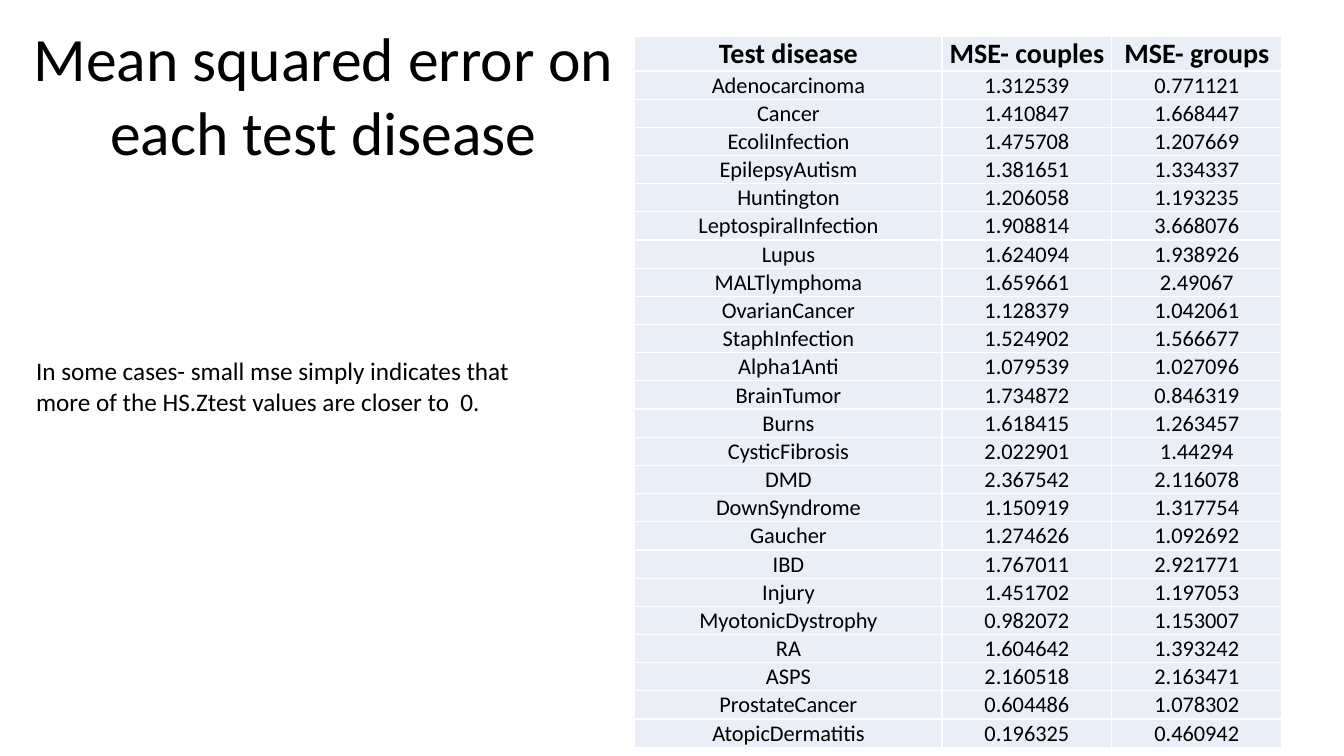
from typing import NamedTuple

from lxml.etree import SubElement
from pptx import Presentation
from pptx.dml.color import RGBColor
from pptx.enum.text import MSO_ANCHOR, MSO_AUTO_SIZE, PP_ALIGN
from pptx.oxml.ns import qn
from pptx.util import Cm, Pt

COLORS = {"text": "000000", "cell": "EAEFF7", "border": "FFFFFF"}
FONT = "Calibri"
HEADER_HEIGHT, BODY_HEIGHT = 0.86, 0.71
COLUMN_WIDTHS = (7.74, 4.28, 4.28)


class DiseaseError(NamedTuple):
    disease: str
    couples: str
    groups: str


HEADER = DiseaseError("Test disease", "MSE- couples", "MSE- groups")
ERRORS = [
    DiseaseError("Adenocarcinoma", "1.312539", "0.771121"),
    DiseaseError("Cancer", "1.410847", "1.668447"),
    DiseaseError("EcoliInfection", "1.475708", "1.207669"),
    DiseaseError("EpilepsyAutism", "1.381651", "1.334337"),
    DiseaseError("Huntington", "1.206058", "1.193235"),
    DiseaseError("LeptospiralInfection", "1.908814", "3.668076"),
    DiseaseError("Lupus", "1.624094", "1.938926"),
    DiseaseError("MALTlymphoma", "1.659661", "2.49067"),
    DiseaseError("OvarianCancer", "1.128379", "1.042061"),
    DiseaseError("StaphInfection", "1.524902", "1.566677"),
    DiseaseError("Alpha1Anti", "1.079539", "1.027096"),
    DiseaseError("BrainTumor", "1.734872", "0.846319"),
    DiseaseError("Burns", "1.618415", "1.263457"),
    DiseaseError("CysticFibrosis", "2.022901", "1.44294"),
    DiseaseError("DMD", "2.367542", "2.116078"),
    DiseaseError("DownSyndrome", "1.150919", "1.317754"),
    DiseaseError("Gaucher", "1.274626", "1.092692"),
    DiseaseError("IBD", "1.767011", "2.921771"),
    DiseaseError("Injury", "1.451702", "1.197053"),
    DiseaseError("MyotonicDystrophy", "0.982072", "1.153007"),
    DiseaseError("RA", "1.604642", "1.393242"),
    DiseaseError("ASPS", "2.160518", "2.163471"),
    DiseaseError("ProstateCancer", "0.604486", "1.078302"),
    DiseaseError("AtopicDermatitis", "0.196325", "0.460942"),
]


def write_text(frame, text: str, size: int, align: PP_ALIGN, bold: bool = False) -> None:
    frame.text = text
    para = frame.paragraphs[0]
    para.alignment = align
    para.font.name = FONT
    para.font.size = Pt(size)
    para.font.bold = bold
    para.font.color.rgb = RGBColor.from_string(COLORS["text"])


def add_borders(cell) -> None:
    properties = cell._tc.get_or_add_tcPr()
    for side in ("a:lnL", "a:lnR", "a:lnT", "a:lnB"):
        line = SubElement(properties, qn(side), w=str(Pt(1)))
        fill = SubElement(line, qn("a:solidFill"))
        SubElement(fill, qn("a:srgbClr"), val=COLORS["border"])


def format_cell(cell, text: str, is_header: bool) -> None:
    cell.margin_left = cell.margin_right = cell.margin_top = Cm(0.02)
    cell.margin_bottom = 0
    cell.vertical_anchor = MSO_ANCHOR.BOTTOM
    add_borders(cell)
    cell.fill.solid()
    cell.fill.fore_color.rgb = RGBColor.from_string(COLORS["cell"])
    write_text(cell.text_frame, text, 20 if is_header else 16, PP_ALIGN.CENTER, is_header)


def add_error_table(page) -> None:
    rows = [HEADER, *ERRORS]
    height = HEADER_HEIGHT + BODY_HEIGHT * len(ERRORS)
    table = page.shapes.add_table(
        len(rows), len(COLUMN_WIDTHS), Cm(16), Cm(0.92), Cm(sum(COLUMN_WIDTHS)), Cm(height)
    ).table
    table.horz_banding = False
    for column, width in zip(table.columns, COLUMN_WIDTHS):
        column.width = Cm(width)
    for index, (row, error) in enumerate(zip(table.rows, rows)):
        is_header = index == 0
        row.height = Cm(HEADER_HEIGHT if is_header else BODY_HEIGHT)
        for cell, text in zip(row.cells, error):
            format_cell(cell, text, is_header)


def add_title(page) -> None:
    title = page.shapes.title
    title.left, title.top, title.width, title.height = Cm(0.3), Cm(0.38), Cm(15.72), Cm(4.01)
    frame = title.text_frame
    frame.vertical_anchor = MSO_ANCHOR.TOP
    frame.auto_size = MSO_AUTO_SIZE.SHAPE_TO_FIT_TEXT
    write_text(frame, "Mean squared error on each test disease", 44, PP_ALIGN.CENTER)


def add_remark(page) -> None:
    box = page.shapes.add_textbox(Cm(0.66), Cm(8.84), Cm(13.28), Cm(1.8))
    frame = box.text_frame
    frame.word_wrap = True
    frame.auto_size = MSO_AUTO_SIZE.SHAPE_TO_FIT_TEXT
    remark = (
        "In some cases- small mse simply indicates that "
        "more of the HS.Ztest values are closer to  0."
    )
    write_text(frame, remark, 18, PP_ALIGN.LEFT)


def main() -> None:
    deck = Presentation()
    deck.slide_width, deck.slide_height = Cm(33.87), Cm(19.05)
    page = deck.slides.add_slide(deck.slide_layouts.get_by_name("Title Only"))

    # Table of errors on the right
    add_error_table(page)

    # Title and remark on the left
    add_title(page)
    add_remark(page)

    deck.save("out.pptx")


if __name__ == "__main__":
    main()
